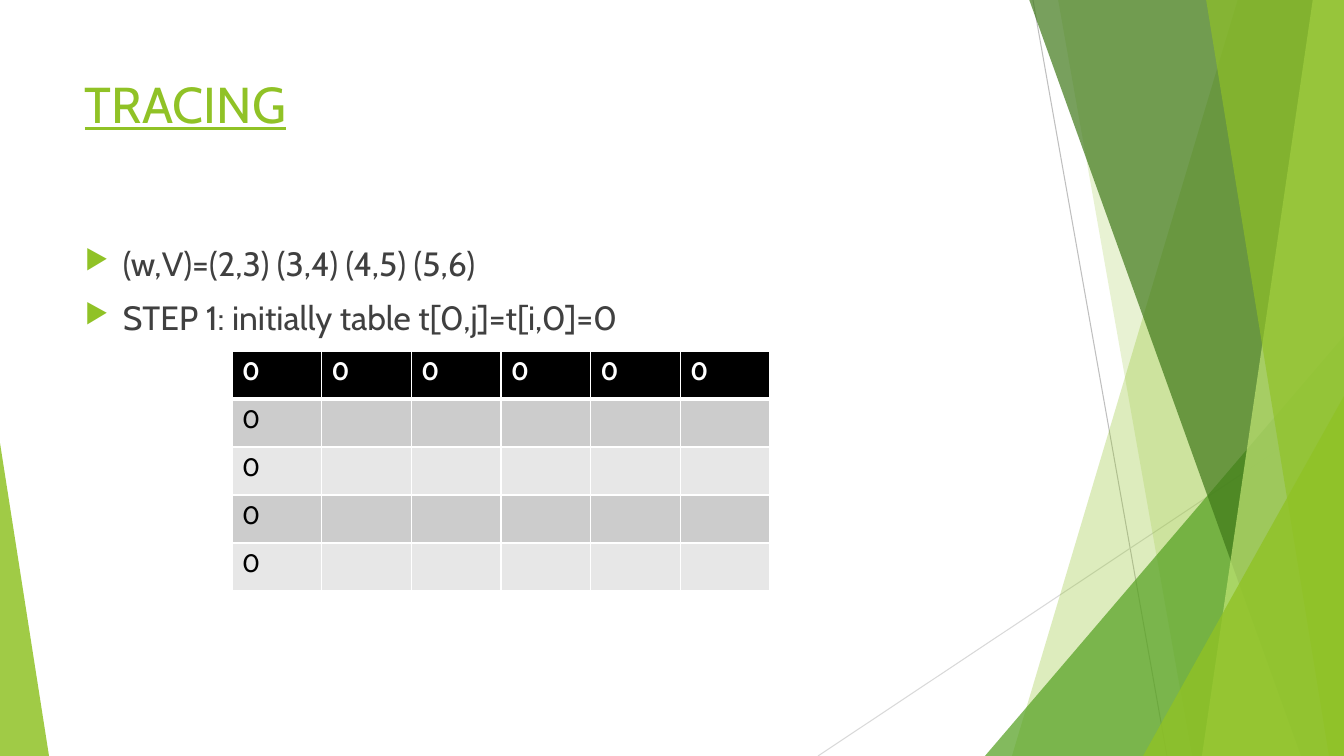
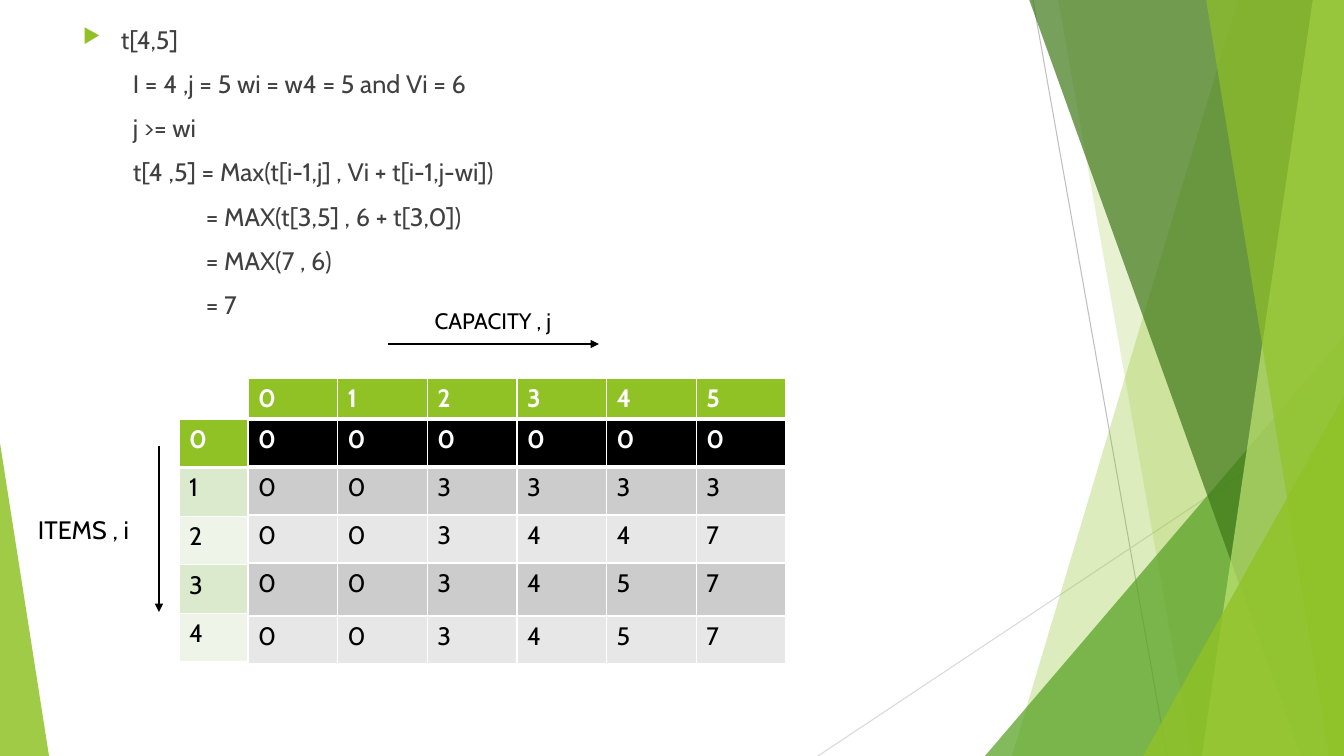
from dataclasses import dataclass

from lxml import etree
from pptx import Presentation
from pptx import util as u
from pptx.dml.color import RGBColor
from pptx.enum import shapes, text
from pptx.oxml.ns import qn


@dataclass(frozen=True)
class Theme:
    font: str = "Cabin"
    green: str = "90C226"
    leaf: str = "54A021"
    forest: str = "3F7819"
    lime: str = "C0E474"
    body: str = "404040"
    black: str = "000000"
    white: str = "FFFFFF"
    hairlines: tuple = ("BFBFBF", "D9D9D9")
    grey_rows: tuple = ("000000", "CCCCCC", "E7E7E7")
    green_rows: tuple = ("90C226", "DBE9CD", "EEF4E8")
    title_size: int = 36
    lead_size: int = 24
    text_size: int = 18
    label_size: int = 16


theme = Theme()
WIDTH, HEIGHT = 1344, 756
SCALE = 12192000 / WIDTH


def px(*lengths):
    return [u.Emu(round(length * SCALE)) for length in lengths]


def add_node(parent, tag, **attributes):
    return etree.SubElement(parent, qn(tag), attributes)


deck = Presentation()
deck.slide_width, deck.slide_height = px(WIDTH, HEIGHT)
layout = deck.slide_layouts[6]
for placeholder in list(layout.placeholders):
    layout.shapes.element.remove(placeholder.element)
tracing = deck.slides.add_slide(layout)
result = deck.slides.add_slide(layout)

# fmt: off
hairlines = [(1033, 0, 1167, HEIGHT), (WIDTH, 406, 818, HEIGHT)]
facets = [
    ("band", (1238, 1012), theme.green, 30),
    ("band", (1058, 1192), theme.green, 20),
    ("triangle", (985, 336, 359, 1), theme.leaf, 72),
    ("band", (1029, 1301), theme.forest, 70),
    ("band", (1313, 1202), theme.lime, 70),
    ("band", (1206, 1329), theme.green, 65),
    ("triangle", (1143, 396, 201, 1), theme.green, 80),
    ("triangle", (0, 443, 49, 0), theme.green, 85),
]

for ends, color in zip(hairlines, theme.hairlines):
    hairline = tracing.shapes.add_connector(shapes.MSO_CONNECTOR.STRAIGHT, *px(*ends))
    hairline.line.color.rgb = RGBColor.from_string(color)
    hairline.line.width = u.Pt(0.75)
    add_node(hairline.element.spPr, "a:effectLst")

for kind, geometry, color, opacity in facets:
    if kind == "band":
        top_left, bottom_left = geometry
        outline = tracing.shapes.build_freeform(*px(top_left, -1), scale=1.0)
        corners = [(WIDTH, -1), (WIDTH, HEIGHT), (bottom_left, HEIGHT)]
        outline.add_line_segments([px(*corner) for corner in corners], close=True)
        facet = outline.convert_to_shape()
    else:
        left, top, width, tip = geometry
        facet = tracing.shapes.add_shape(
            shapes.MSO_SHAPE.ISOSCELES_TRIANGLE, *px(left, top, width, HEIGHT - top))
        facet.adjustments[0] = tip
    facet.shadow.inherit = False
    facet.line.fill.background()
    facet.fill.solid()
    facet.fill.fore_color.rgb = RGBColor.from_string(color)
    tint = facet.element.spPr.find(qn("a:solidFill")).find(qn("a:srgbClr"))
    add_node(tint, "a:alpha", val=str(opacity * 1000))

for shape in list(tracing.shapes):
    layout.shapes.element.append(shape.element)

BULLET, STEP, RESULT = 38, 50, 123
texts = [
    (tracing, (75, 68, 948, 145), theme.title_size, theme.green, [(0, "TRACING")]),
    (tracing, (75, 238, 948, 427), theme.lead_size, theme.body, [
        (BULLET, "(w,V)=(2,3) (3,4) (4,5) (5,6)"),
        (BULLET, "STEP 1: initially table t[0,j]=t[i,0]=0"),
    ]),
    (result, (73, 19, 948, 649), theme.text_size, theme.body, [
        (BULLET, "t[4,5]"),
        (STEP, "I = 4 ,j = 5 wi = w4 = 5 and Vi = 6"),
        (STEP, "j >= wi"),
        (STEP, "t[4 ,5] = Max(t[i-1,j] , Vi + t[i-1,j-wi])"),
        (RESULT, "= MAX(t[3,5] , 6 + t[3,0])"),
        (RESULT, "= MAX(7 , 6)"),
        (RESULT, "= 7"),
    ]),
    (result, (415, 302, 156, 37), theme.label_size, theme.black, [(0, "CAPACITY , j")]),
    (result, (28, 509, 151, 40), theme.text_size, theme.black, [(0, "ITEMS , i")]),
]

for page, area, size, color, lines in texts:
    box = page.shapes.add_textbox(*px(*area))
    frame = box.text_frame
    frame.word_wrap = True
    for number, (indent, line) in enumerate(lines):
        para = frame.add_paragraph() if number else frame.paragraphs[0]
        para.text = line
        if size == theme.label_size:
            para.alignment = text.PP_ALIGN.CENTER
        if indent:
            para.space_before = u.Pt(10)
            properties = para._p.get_or_add_pPr()
            margin = px(indent)[0]
            properties.set("marL", str(margin))
            if indent == BULLET:
                properties.set("indent", str(-margin))
                add_node(add_node(properties, "a:buClr"), "a:srgbClr", val=theme.green)
                add_node(properties, "a:buSzPct", val="80000")
                add_node(properties, "a:buChar", char="▶")
        para.font.name = theme.font
        para.font.size = u.Pt(size)
        para.font.color.rgb = RGBColor.from_string(color)
        para.font.underline = size == theme.title_size or None

start = ["000000"] + ["0"] * 4
filled = ["000000", "003333", "003447", "003457", "003457"]
tables = [
    (tracing, (232, 351, 538, 240), start, theme.grey_rows),
    (result, (248, 419, 538, 245), filled, theme.grey_rows),
    (result, (179, 419, 69, 243), "01234", theme.green_rows),
    (result, (248, 378, 538, 41), ["012345"], theme.green_rows),
]

for page, area, rows, fills in tables:
    columns = len(rows[0])
    grid = page.shapes.add_table(len(rows), columns, *px(*area)).table
    grid.first_row = grid.horz_banding = False
    if rows is filled:
        for row, height in zip(grid.rows, px(48, 48, 48, 53, 48)):
            row.height = height
    for r, values in enumerate(rows):
        for c, value in enumerate(values.ljust(columns)):
            cell = grid.cell(r, c)
            heavy = {0: "a:lnB", 1: "a:lnT"}.get(r)
            for side in ("a:lnL", "a:lnR", "a:lnT", "a:lnB"):
                weight = u.Pt(3 if side == heavy else 1)
                border = add_node(cell._tc.get_or_add_tcPr(), side, w=str(weight))
                add_node(add_node(border, "a:solidFill"), "a:srgbClr", val=theme.white)
            cell.fill.solid()
            fill = fills[1 + (r - 1) % 2 if r else 0]
            cell.fill.fore_color.rgb = RGBColor.from_string(fill)
            cell.text = value.strip()
            font = cell.text_frame.paragraphs[0].font
            font.name = theme.font
            font.size = u.Pt(theme.text_size)
            font.bold = r == 0
            font.color.rgb = RGBColor.from_string(theme.black if r else theme.white)

for ends in [(388, 344, 599, 344), (159, 446, 159, 612)]:
    arrow = result.shapes.add_connector(shapes.MSO_CONNECTOR.STRAIGHT, *px(*ends))
    arrow.line.color.rgb = RGBColor.from_string(theme.black)
    arrow.line.width = u.Pt(1)
    add_node(arrow.element.spPr.find(qn("a:ln")), "a:tailEnd", type="triangle")
    add_node(arrow.element.spPr, "a:effectLst")

deck.save("out.pptx")
